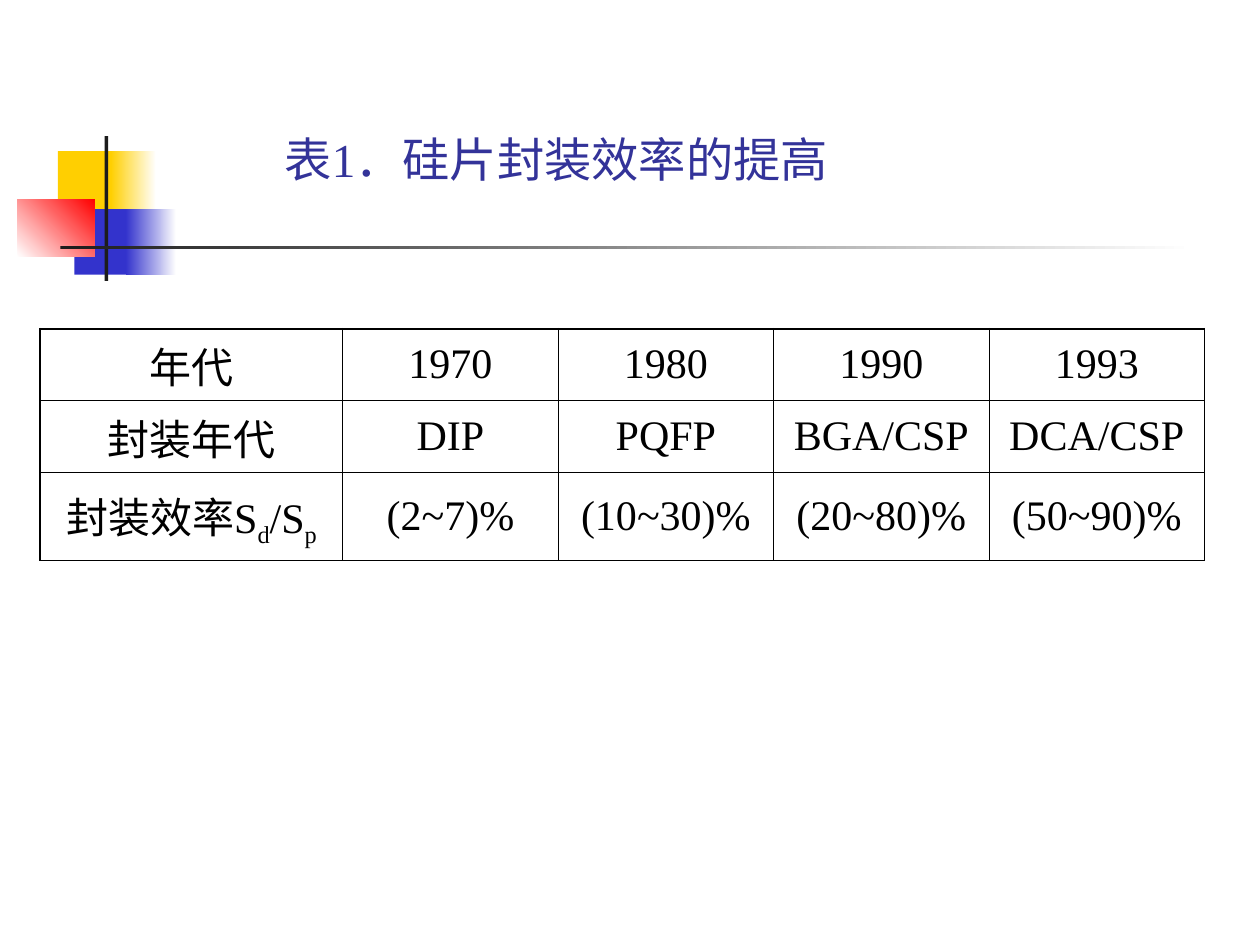
from dataclasses import dataclass
from typing import Any

from lxml import etree
from pptx import Presentation
from pptx.dml.color import RGBColor
from pptx.enum.shapes import MSO_SHAPE
from pptx.enum.text import MSO_ANCHOR, PP_ALIGN
from pptx.oxml.ns import qn
from pptx.util import Inches, Pt

RECTANGLE = MSO_SHAPE.RECTANGLE
MIDDLE = MSO_ANCHOR.MIDDLE
LEFT, CENTER = PP_ALIGN.LEFT, PP_ALIGN.CENTER

COLORS = {
    "yellow": "FFCF01",
    "blue": "3333CC",
    "red": "FF0000",
    "charcoal": "1C1C1C",
    "white": "FFFFFF",
    "title": "333399",
    "black": "000000",
}
FONT = "Times New Roman"
TITLE_FORMAT = {"name": FONT, "size": Pt(27)}
CELL_FORMAT = {"name": FONT, "size": Pt(24)}
THIN, THICK = Pt(0.45), Pt(1.08)
SUBSCRIPT = "-25000"


@dataclass
class Block:
    left: float
    top: float
    width: float
    height: float
    colors: tuple[str, ...]
    angle: int = 0


@dataclass
class Span:
    text: str
    subscript: bool = False


BLOCKS = [
    Block(0.46, 1.2, 0.48, 0.52, ("yellow",)),
    Block(0.88, 1.2, 0.36, 0.52, ("yellow", "white")),
    Block(0.59, 1.66, 0.46, 0.52, ("blue",)),
    Block(1, 1.66, 0.4, 0.52, ("blue", "white")),
    Block(0.14, 1.58, 0.61, 0.46, ("white", "red"), 45),
    Block(0.83, 1.08, 0.03, 1.15, ("charcoal",)),
    Block(0.48, 1.95, 9, 0.03, ("charcoal", "white")),
]

EFFICIENCY = [Span("封装效率S"), Span("d", True), Span("/S"), Span("p", True)]
ROWS = [
    [[Span(text)] for text in ("年代", "1970", "1980", "1990", "1993")],
    [[Span(text)] for text in ("封装年代", "DIP", "PQFP", "BGA/CSP", "DCA/CSP")],
    [EFFICIENCY]
    + [[Span(f"({limits})%")] for limits in ("2~7", "10~30", "20~80", "50~90")],
]
COLUMN_WIDTHS = [2.4] + [1.71] * 4
ROW_HEIGHTS = [0.57, 0.57, 0.7]


def rgb(name: str) -> RGBColor:
    return RGBColor.from_string(COLORS[name])


def draw_block(slide: Any, block: Block) -> None:
    lengths = (block.left, block.top, block.width, block.height)
    shape = slide.shapes.add_shape(RECTANGLE, *map(Inches, lengths))
    shape.shadow.inherit = False
    shape.line.fill.background()
    if len(block.colors) == 1:
        shape.fill.solid()
        shape.fill.fore_color.rgb = rgb(block.colors[0])
        return
    shape.fill.gradient()
    shape.fill.gradient_angle = block.angle
    for stop, color in zip(shape.fill.gradient_stops, block.colors):
        stop.color.rgb = rgb(color)


def write_spans(
    para: Any, spans: list[Span], text_format: dict[str, Any], color: str
) -> None:
    for span in spans:
        run = para.add_run()
        run.text = span.text
        for attribute, value in text_format.items():
            setattr(run.font, attribute, value)
        run.font.color.rgb = rgb(color)
        if span.subscript:
            run.font._element.set("baseline", SUBSCRIPT)


def draw_title(slide: Any, text: str) -> None:
    box = slide.shapes.add_textbox(*map(Inches, (2.16, 0.91, 5.67, 0.69)))
    frame = box.text_frame
    frame.word_wrap = True
    frame.vertical_anchor = MIDDLE
    para = frame.paragraphs[0]
    para.alignment = LEFT
    write_spans(para, [Span(text)], TITLE_FORMAT, "title")


def set_borders(cell: Any, outer_sides: dict[str, bool]) -> None:
    properties = cell._tc.get_or_add_tcPr()
    for side, is_outer in outer_sides.items():
        width = THICK if is_outer else THIN
        line = etree.SubElement(properties, qn(f"a:ln{side}"), w=str(width))
        fill = etree.SubElement(line, qn("a:solidFill"))
        etree.SubElement(fill, qn("a:srgbClr"), val=COLORS["black"])


def draw_table(slide: Any) -> None:
    lengths = (0.32, 2.61, sum(COLUMN_WIDTHS), sum(ROW_HEIGHTS))
    table = slide.shapes.add_table(
        len(ROWS), len(COLUMN_WIDTHS), *map(Inches, lengths)
    ).table
    table.first_row = False
    table.horz_banding = False
    for column, width in zip(table.columns, COLUMN_WIDTHS):
        column.width = Inches(width)
    for row, height in zip(table.rows, ROW_HEIGHTS):
        row.height = Inches(height)
    for row_index, row in enumerate(ROWS):
        for column_index, spans in enumerate(row):
            cell = table.cell(row_index, column_index)
            outer_sides = {
                "L": column_index == 0,
                "R": column_index == len(row) - 1,
                "T": row_index == 0,
                "B": row_index == len(ROWS) - 1,
            }
            set_borders(cell, outer_sides)
            cell.fill.background()
            cell.vertical_anchor = MIDDLE
            para = cell.text_frame.paragraphs[0]
            para.alignment = CENTER
            write_spans(para, spans, CELL_FORMAT, "black")


def main() -> None:
    deck = Presentation()
    deck.slide_width, deck.slide_height = Inches(10), Inches(7.5)
    slide = deck.slides.add_slide(deck.slide_layouts[6])
    for block in BLOCKS:
        draw_block(slide, block)
    draw_title(slide, "表1．硅片封装效率的提高")
    draw_table(slide)
    deck.save("out.pptx")


if __name__ == "__main__":
    main()
